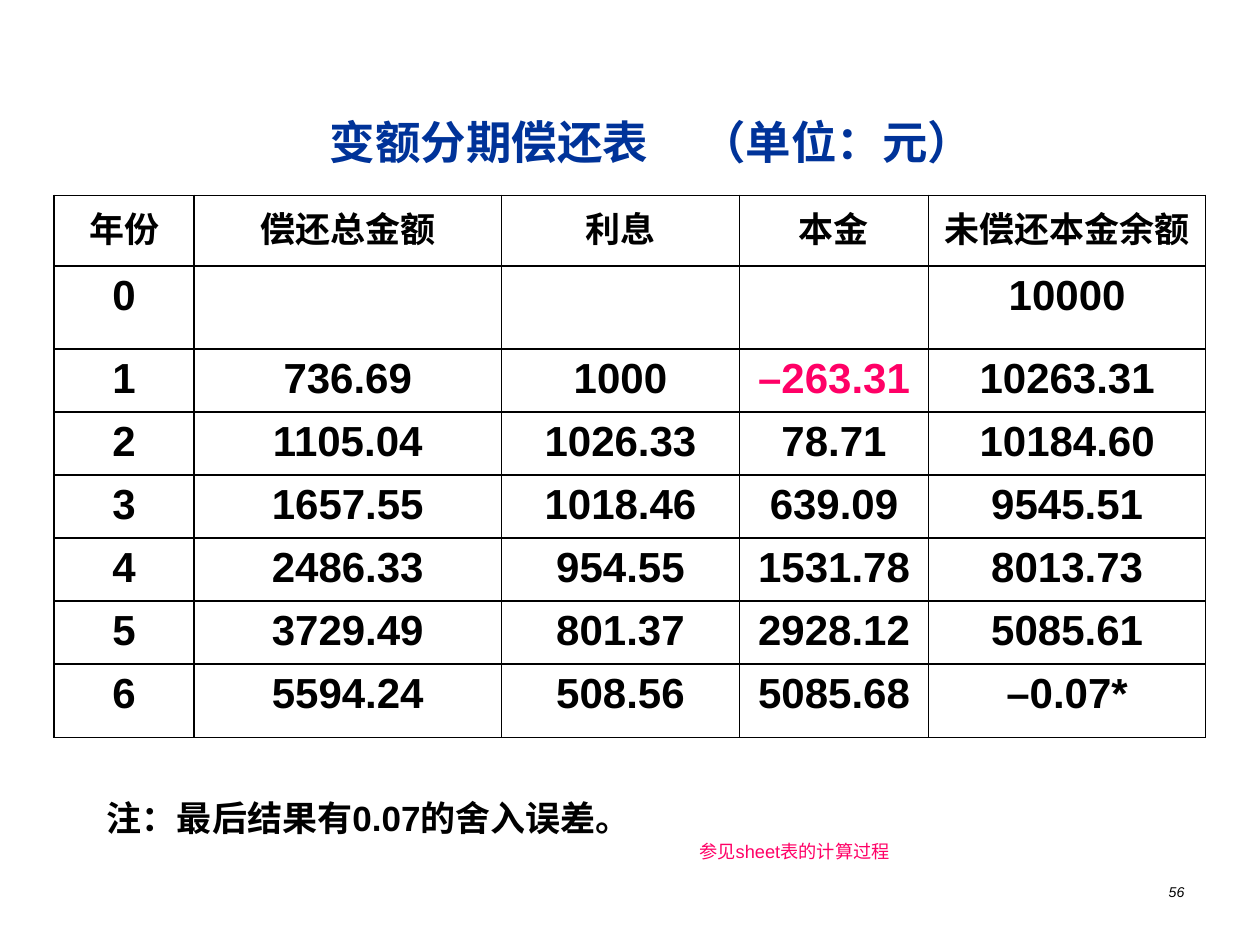
from lxml import etree
from pptx import Presentation
from pptx.dml.color import RGBColor
from pptx.enum.text import MSO_ANCHOR, PP_ALIGN
from pptx.oxml.ns import qn
from pptx.util import Inches, Pt

LEFT, CENTER, RIGHT = PP_ALIGN.LEFT, PP_ALIGN.CENTER, PP_ALIGN.RIGHT
TOP, MIDDLE = MSO_ANCHOR.TOP, MSO_ANCHOR.MIDDLE
COLORS = {"ink": "000000", "title": "003399", "accent": "FF0066"}
LATIN, CJK = "Arial", "Noto Sans CJK SC"

HEADINGS = ["年份", "偿还总金额", "利息", "本金", "未偿还本金余额"]
SCHEDULE = [
    ["0", "", "", "", "10000"],
    ["1", "736.69", "1000", "–263.31", "10263.31"],
    ["2", "1105.04", "1026.33", "78.71", "10184.60"],
    ["3", "1657.55", "1018.46", "639.09", "9545.51"],
    ["4", "2486.33", "954.55", "1531.78", "8013.73"],
    ["5", "3729.49", "801.37", "2928.12", "5085.61"],
    ["6", "5594.24", "508.56", "5085.68", "–0.07*"],
]
COLUMN_WIDTHS = [1.11, 2.44, 1.89, 1.5, 2.2]
ROW_HEIGHTS = [0.56, 0.66] + [0.5] * 5 + [0.58]
NEGATIVE_PRINCIPAL = "–263.31"


class SlideBuilder:
    """Holds the slide and its style, and adds text and tables to it."""

    def __init__(self, slide):
        self.slide = slide

    def style(self, paragraph, size, color="ink", bold=False, italic=False,
              align=LEFT, latin=LATIN, subscript=False):
        paragraph.alignment = align
        font = paragraph.font
        font.size, font.bold, font.italic = Pt(size), bold, italic
        font.color.rgb = RGBColor.from_string(COLORS[color])
        font.name = latin
        defaults = paragraph._p.get_or_add_pPr().get_or_add_defRPr()
        etree.SubElement(defaults, qn("a:ea"), typeface=CJK)
        if subscript:
            defaults.set("baseline", "-25000")

    def text(self, words, box, size, anchor=TOP, wrap=True, tab=None, **look):
        frame = self.slide.shapes.add_textbox(*map(Inches, box)).text_frame
        frame.word_wrap = wrap
        frame.vertical_anchor = anchor
        paragraph = frame.paragraphs[0]
        paragraph.text = words
        if tab:
            stops = etree.SubElement(paragraph._p.get_or_add_pPr(), qn("a:tabLst"))
            etree.SubElement(stops, qn("a:tab"), pos=str(Inches(tab)), algn="l")
        self.style(paragraph, size, **look)

    def border(self, cell):
        properties = cell._tc.get_or_add_tcPr()
        for side in ("lnL", "lnR", "lnT", "lnB"):
            line = etree.SubElement(properties, qn(f"a:{side}"), w=str(Pt(1)))
            fill = etree.SubElement(line, qn("a:solidFill"))
            etree.SubElement(fill, qn("a:srgbClr"), val=COLORS["ink"])

    def table(self, rows, left, top, widths, heights):
        table = self.slide.shapes.add_table(
            len(rows), len(widths), Inches(left), Inches(top),
            Inches(sum(widths)), Inches(sum(heights))).table
        table.first_row = table.horz_banding = False
        for column, width in zip(table.columns, widths):
            column.width = Inches(width)
        for row, height in zip(table.rows, heights):
            row.height = Inches(height)
        for r, values in enumerate(rows):
            size, latin = (24, LATIN) if r else (20, CJK)
            for c, value in enumerate(values):
                cell = table.cell(r, c)
                self.border(cell)
                cell.fill.background()
                cell.text = value
                color = "accent" if value == NEGATIVE_PRINCIPAL else "ink"
                self.style(cell.text_frame.paragraphs[0], size, color,
                           bold=True, align=CENTER, latin=latin)


def main():
    deck = Presentation()
    deck.slide_width, deck.slide_height = Inches(10), Inches(7.5)
    builder = SlideBuilder(deck.slides.add_slide(deck.slide_layouts[6]))
    builder.text("56", (7.17, 6.83, 2.33, 0.52), 14, italic=True,
                 align=RIGHT, subscript=True)
    builder.text("变额分期偿还表\t（单位：元）", (2.52, 0.5, 6, 1.25), 26,
                 anchor=MIDDLE, tab=2.94, color="title", bold=True)
    builder.text("注：最后结果有0.07的舍入误差。", (0.75, 6.27, 5.75, 0.73), 20,
                 bold=True)
    builder.table([HEADINGS] + SCHEDULE, 0.43, 1.55, COLUMN_WIDTHS, ROW_HEIGHTS)
    builder.text("参见sheet表的计算过程", (5.45, 6.45, 2.85, 0.4), 18,
                 wrap=False, color="accent", subscript=True)
    deck.save("out.pptx")


if __name__ == "__main__":
    main()
